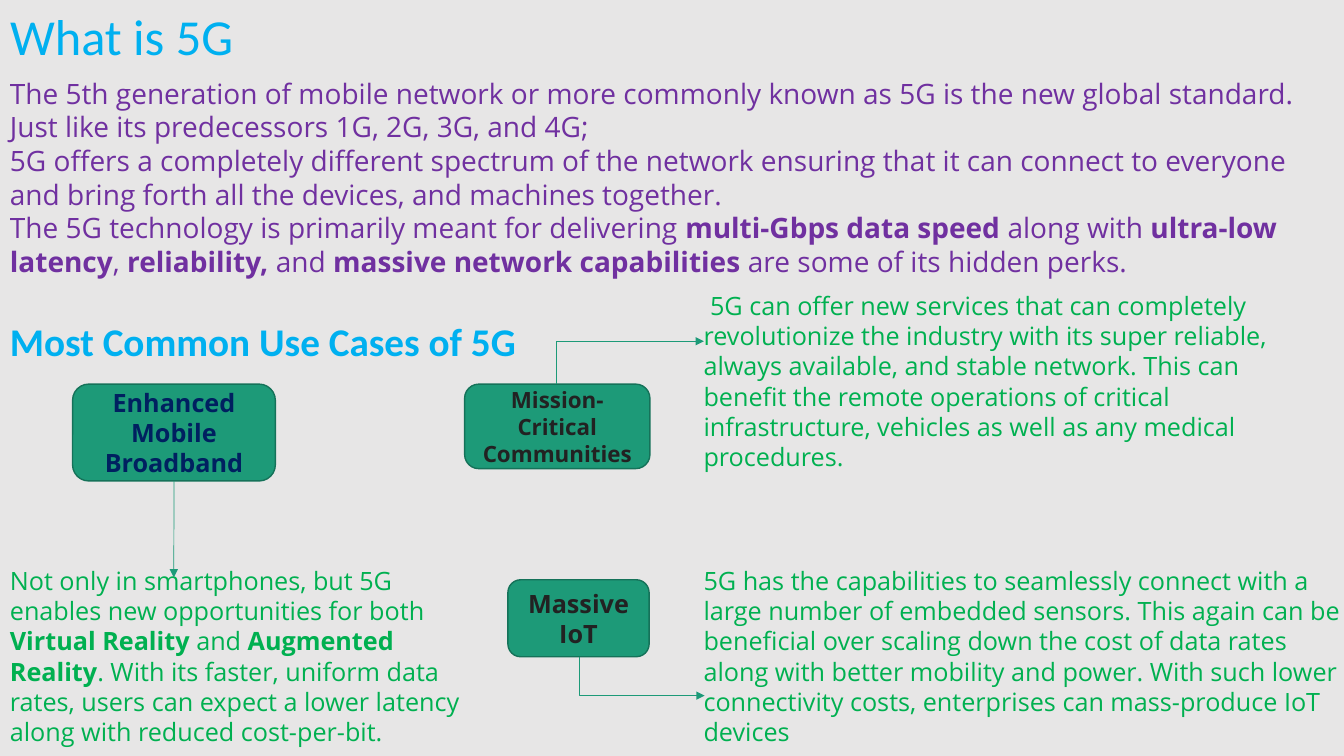
import pptx
import pptx.util
import pptx.dml.color
import pptx.enum.shapes
import pptx.enum.text
import pptx.oxml
import pptx.oxml.ns
from pptx.util import Cm

SHAPE = pptx.enum.shapes.MSO_SHAPE
CONNECTOR = pptx.enum.shapes.MSO_CONNECTOR
ALIGN = pptx.enum.text.PP_ALIGN
ANCHOR = pptx.enum.text.MSO_ANCHOR
BLUE, PURPLE, GREEN, TEAL = "00B0F0", "7030A0", "00B050", "1D9A78"


def color(value):
    return pptx.dml.color.RGBColor.from_string(value)


def write(box, lines, size, font, ink, align=ALIGN.LEFT, anchor=ANCHOR.TOP, wrap=True):
    frame = box.text_frame
    frame.word_wrap = wrap
    frame.vertical_anchor = anchor
    frame.auto_size = pptx.enum.text.MSO_AUTO_SIZE.NONE
    for number, line in enumerate(lines):
        para = frame.add_paragraph() if number else frame.paragraphs[0]
        para.alignment = align
        for order, words in enumerate(line.split("*")):
            if words:
                span = para.add_run()
                span.text = words
                span.font.size = pptx.util.Pt(size)
                span.font.name = font
                span.font.bold = order % 2 == 1
                span.font.color.rgb = color(ink)


deck = pptx.Presentation()
deck.slide_width, deck.slide_height = Cm(33.87), Cm(19.05)
page = deck.slides.add_slide(deck.slide_layouts[5])
page.background.fill.solid()
page.background.fill.fore_color.rgb = color("E7E6E6")

title = page.shapes.title
title.left, title.top, title.width, title.height = Cm(0), Cm(0), Cm(8.76), Cm(1.8)
write(title, ["What is 5G"], 36, "Calibri", BLUE)

intro = [
    "The 5th generation of mobile network or more commonly known as 5G is the new global standard. "
    "Just like its predecessors 1G, 2G, 3G, and 4G;",
    "5G offers a completely different spectrum of the network ensuring that it can connect to everyone "
    "and bring forth all the devices, and machines together.",
    "The 5G technology is primarily meant for delivering *multi-Gbps data speed* along with "
    "*ultra-low latency*, *reliability,* and *massive network capabilities* are some of its hidden perks.",
]
broadband = [
    "Not only in smartphones, but 5G enables new opportunities for both *Virtual Reality *and "
    "*Augmented Reality*. With its faster, uniform data rates, users can expect a lower latency "
    "along with reduced cost-per-bit."
]
critical = [
    " 5G can offer new services that can completely revolutionize the industry with its super reliable, "
    "always available, and stable network. This can benefit the remote operations of critical "
    "infrastructure, vehicles as well as any medical procedures."
]
massive = [
    "5G has the capabilities to seamlessly connect with a large number of embedded sensors. This again "
    "can be beneficial over scaling down the cost of data rates along with better mobility and power. "
    "With such lower connectivity costs, enterprises can mass-produce IoT devices"
]
texts = [
    (0, 1.8, 33.58, 5.38, intro, 20, "Open Sans", PURPLE, True),
    (0, 7.87, 13.41, 2.64, ["*Most Common Use Cases of 5G*"], 28, "Calibri", BLUE, False),
    (0, 14.12, 12.19, 4.88, broadband, 18, "Open Sans", GREEN, True),
    (17.48, 7.19, 16.1, 4.11, critical, 18, "Open Sans", GREEN, True),
    (17.48, 14.12, 16.94, 4.88, massive, 18, "Open Sans", GREEN, True),
]
for left, top, width, height, lines, size, font, ink, wrap in texts:
    box = page.shapes.add_textbox(Cm(left), Cm(top), Cm(width), Cm(height))
    write(box, lines, size, font, ink, wrap=wrap)

use_cases = []
for left, top, width, height, label, size, ink in [
    (1.83, 9.68, 5.11, 2.44, "*Enhanced Mobile Broadband*", 18, "002060"),
    (11.71, 9.68, 4.67, 2.13, "*Mission-Critical Communities*", 16, "222222"),
    (12.8, 14.61, 3.56, 1.94, "*Massive IoT*", 18, "222222"),
]:
    box = page.shapes.add_shape(SHAPE.ROUNDED_RECTANGLE, Cm(left), Cm(top), Cm(width), Cm(height))
    box.shadow.inherit = False
    box.fill.solid()
    box.fill.fore_color.rgb = color(TEAL)
    box.line.color.rgb = color("157259")
    box.line.width = pptx.util.Pt(1)
    write(box, [label], size, "Open Sans", ink, ALIGN.CENTER, ANCHOR.MIDDLE)
    use_cases.append(box)

for kind, x1, y1, x2, y2, turn in [
    (CONNECTOR.STRAIGHT, 4.38, 12.12, 4.38, 14.55, 0),
    (CONNECTOR.ELBOW, 16.43, 11, 15.34, 7.29, 90),
    (CONNECTOR.ELBOW, 16.67, 15.47, 15.7, 18.62, 270),
]:
    arrow = page.shapes.add_connector(kind, Cm(x1), Cm(y1), Cm(x2), Cm(y2))
    arrow.line.color.rgb = color(TEAL)
    arrow.line.width = pptx.util.Pt(0.5)
    properties = arrow._element.spPr
    if turn:
        properties.find(pptx.oxml.ns.qn("a:xfrm")).set("rot", str(turn * 60000))
        properties.find(pptx.oxml.ns.qn("a:prstGeom")).set("prst", "bentConnector2")
    else:
        arrow.begin_connect(use_cases[0], 2)
    head = pptx.oxml.parse_xml(f'<a:tailEnd {pptx.oxml.ns.nsdecls("a")} type="triangle"/>')
    properties.find(pptx.oxml.ns.qn("a:ln")).append(head)
    properties.append(pptx.oxml.parse_xml(f'<a:effectLst {pptx.oxml.ns.nsdecls("a")}/>'))

deck.save("out.pptx")
